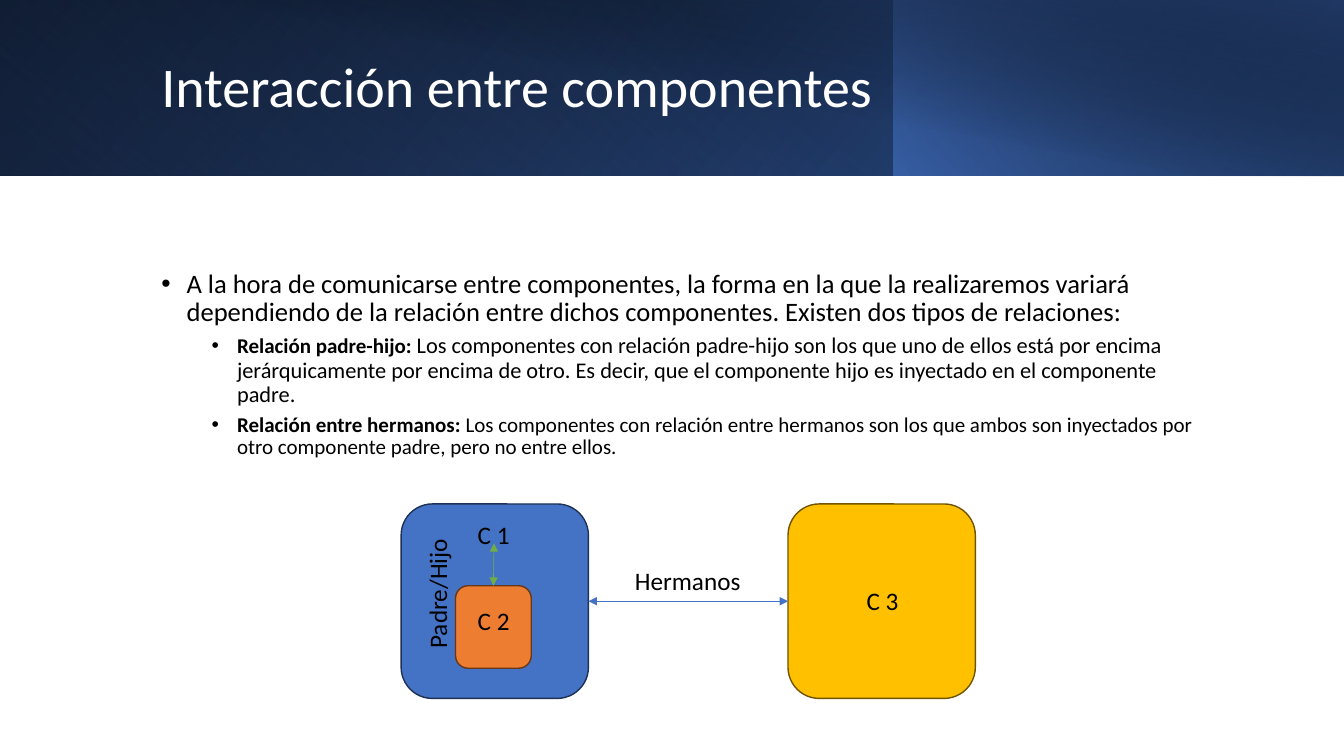
from dataclasses import dataclass

from lxml.etree import SubElement
from pptx import Presentation
from pptx.dml.color import RGBColor
from pptx.enum.shapes import MSO_CONNECTOR, MSO_SHAPE
from pptx.enum.text import MSO_ANCHOR, MSO_AUTO_SIZE, PP_ALIGN
from pptx.oxml.ns import qn
from pptx.util import Cm, Pt

# Content
TITLE = "Interacción entre componentes"
# level, bold lead, text, text size
POINTS = [
    (0, "", "A la hora de comunicarse entre componentes, la forma en la que la "
     "realizaremos variará dependiendo de la relación entre dichos componentes. "
     "Existen dos tipos de relaciones:", 19),
    (1, "Relación padre-hijo: ", "Los componentes con relación padre-hijo son los que "
     "uno de ellos está por encima jerárquicamente por encima de otro. Es decir, que el "
     "componente hijo es inyectado en el componente padre.", 16),
    (1, "Relación entre hermanos: ", "Los componentes con relación entre hermanos son los "
     "que ambos son inyectados por otro componente padre, pero no entre ellos.", 15),
]
# left, width, height, mirrored, rotation, gradient angle, stops (position, colour, opacity)
HEADER_PANELS = [
    (0, 33.87, 4.42, True, 0, 140, [(0, "000000", 100), (100, "2F5597", 100)]),
    (0, 22.56, 4.42, True, 180, 230, [(20, "4472C4", 0), (100, "203864", 55)]),
    (22.53, 11.33, 4.42, True, 0, 220, [(0, "4472C4", 66), (100, "000000", 30)]),
    (1.27, 32.59, 4.45, False, 0, 280, [(50, "000000", 0), (99, "203864", 52)]),
]
# name: left, top, width, height, fill, line
COMPONENTS = {
    "C 1": (10.11, 12.7, 4.72, 4.9, "4472C4", "1E3256"),
    "C 3": (19.86, 12.7, 4.72, 4.9, "FFC000", "705400"),
    "C 2": (11.48, 14.76, 1.91, 2.08, "ED7D31", "683715"),
}
# text, centre x, centre y, width, rotation
LABELS = [
    ("Hermanos", 17.35, 14.63, 3.2, 0),
    ("C 3", 22.25, 15.14, 1.32, 0),
    ("C 1", 12.45, 13.46, 1.32, 0),
    ("C 2", 12.45, 15.65, 1.32, 0),
    ("Padre/Hijo", 11.02, 14.94, 3.3, 270),
]
LABEL_HEIGHT = 1.02


@dataclass
class Theme:
    font: str = "Calibri"
    title: str = "FFFFFF"
    text: str = "000000"
    siblings: str = "4472C4"
    family: str = "70AD47"
    title_size: int = 40
    lead_size: int = 15
    label_size: int = 18


theme = Theme()


def color(code):
    return RGBColor.from_string(code)


def style(font, size, code):
    font.name, font.size = theme.font, Pt(size)
    font.color.rgb = color(code)


def place(box, left, top, width, height):
    box.left, box.top, box.width, box.height = Cm(left), Cm(top), Cm(width), Cm(height)


def set_gradient(shape, angle, stops):
    shape.fill.background()
    properties = shape._element.spPr
    blank = properties.find(qn("a:noFill"))
    gradient = SubElement(properties, qn("a:gradFill"), rotWithShape="1")
    properties.replace(blank, gradient)
    stop_list = SubElement(gradient, qn("a:gsLst"))
    for position, code, opacity in stops:
        stop = SubElement(stop_list, qn("a:gs"), pos=str(position * 1000))
        tint = SubElement(stop, qn("a:srgbClr"), val=code)
        if opacity < 100:
            SubElement(tint, qn("a:alpha"), val=str(opacity * 1000))
    SubElement(gradient, qn("a:lin"), ang=str(angle * 60000), scaled="0")


def add_double_arrow(page, start, end, code, width):
    arrow = page.shapes.add_connector(MSO_CONNECTOR.STRAIGHT, *map(Cm, start + end))
    arrow.line.color.rgb, arrow.line.width = color(code), Pt(width)
    line = arrow.line._get_or_add_ln()
    for tip in ("a:headEnd", "a:tailEnd"):
        SubElement(line, qn(tip), type="triangle")
    SubElement(arrow._element.spPr, qn("a:effectLst"))
    return arrow


def add_header(page):
    tree = page.shapes._spTree
    for order, (left, width, height, mirrored, turn, angle, stops) in enumerate(HEADER_PANELS):
        panel = page.shapes.add_shape(
            MSO_SHAPE.RECTANGLE, 0, 0, Cm(1), Cm(1))
        place(panel, left, 0, width, height)
        panel.rotation = turn
        if mirrored:
            panel._element.spPr.xfrm.set("flipH", "1")
        set_gradient(panel, angle, stops)
        panel.line.fill.background()
        panel.shadow.inherit = False
        # Keep the header behind the placeholders
        tree.insert(2 + order, panel._element)


def add_text(page):
    title, body = page.shapes.title, page.placeholders[1]
    place(title, 3.81, 0.81, 18.42, 2.87)
    place(body, 3.81, 6.45, 27, 5.49)
    for box in (title, body):
        box.text_frame.word_wrap = True
        box.text_frame.auto_size = MSO_AUTO_SIZE.NONE
        box.text_frame.vertical_anchor = MSO_ANCHOR.MIDDLE

    title.text_frame.text = TITLE
    heading = title.text_frame.paragraphs[0]
    heading.alignment, heading.line_spacing = PP_ALIGN.LEFT, 0.9
    style(heading.font, theme.title_size, theme.title)

    for order, (level, lead, text, size) in enumerate(POINTS):
        frame = body.text_frame
        para = frame.add_paragraph() if order else frame.paragraphs[0]
        para.level, para.line_spacing = level, 0.9
        para.space_before = Pt(5 if level else 10)
        style(para.font, size, theme.text)
        if lead:
            span = para.add_run()
            span.text, span.font.bold = lead, True
            span.font.size = Pt(theme.lead_size)
        para.add_run().text = text
        properties = para._p.get_or_add_pPr()
        properties.set("marL", str(Cm(1.91 if level else 0.64)))
        properties.set("indent", str(Cm(-0.64)))
        bullet_font = properties.makeelement(qn("a:buFont"), {"typeface": "Arial"})
        bullet = properties.makeelement(qn("a:buChar"), {"char": "•"})
        default = properties.find(qn("a:defRPr"))
        default.addprevious(bullet_font)
        default.addprevious(bullet)


def add_diagram(page):
    # Components
    boxes = {}
    for name, (left, top, width, height, fill, line) in COMPONENTS.items():
        box = page.shapes.add_shape(
            MSO_SHAPE.ROUNDED_RECTANGLE, Cm(left), Cm(top), Cm(width), Cm(height))
        box.fill.solid()
        box.fill.fore_color.rgb = color(fill)
        box.line.color.rgb, box.line.width = color(line), Pt(1)
        box.shadow.inherit = False
        boxes[name] = box

    # Relations
    siblings = add_double_arrow(page, (14.83, 15.15), (19.86, 15.15), theme.siblings, 1)
    siblings.begin_connect(boxes["C 1"], 3)
    siblings.end_connect(boxes["C 3"], 1)
    family = add_double_arrow(page, (12.45, 13.69), (12.44, 14.76), theme.family, 0.5)
    family.end_connect(boxes["C 2"], 0)

    # Labels
    for text, center_x, center_y, width, turn in LABELS:
        label = page.shapes.add_textbox(
            Cm(center_x - width / 2), Cm(center_y - LABEL_HEIGHT / 2),
            Cm(width), Cm(LABEL_HEIGHT))
        label.rotation = turn
        frame = label.text_frame
        frame.word_wrap = False
        frame.auto_size = MSO_AUTO_SIZE.SHAPE_TO_FIT_TEXT
        frame.text = text
        style(frame.paragraphs[0].font, theme.label_size, theme.text)


def main():
    deck = Presentation()
    deck.slide_width, deck.slide_height = Cm(33.87), Cm(19.05)
    page = deck.slides.add_slide(deck.slide_layouts[1])
    add_header(page)
    add_text(page)
    add_diagram(page)
    deck.save("out.pptx")


if __name__ == "__main__":
    main()
